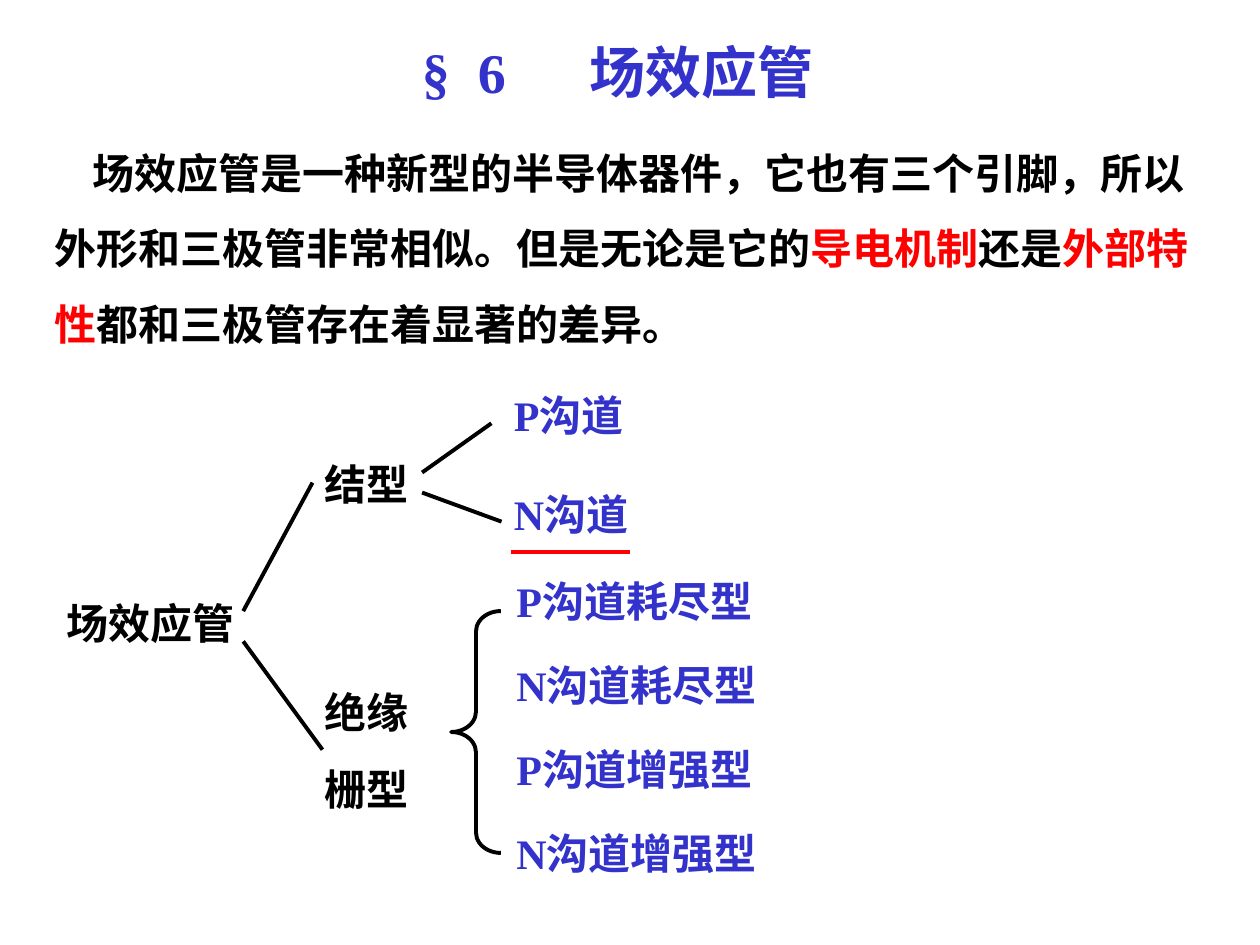
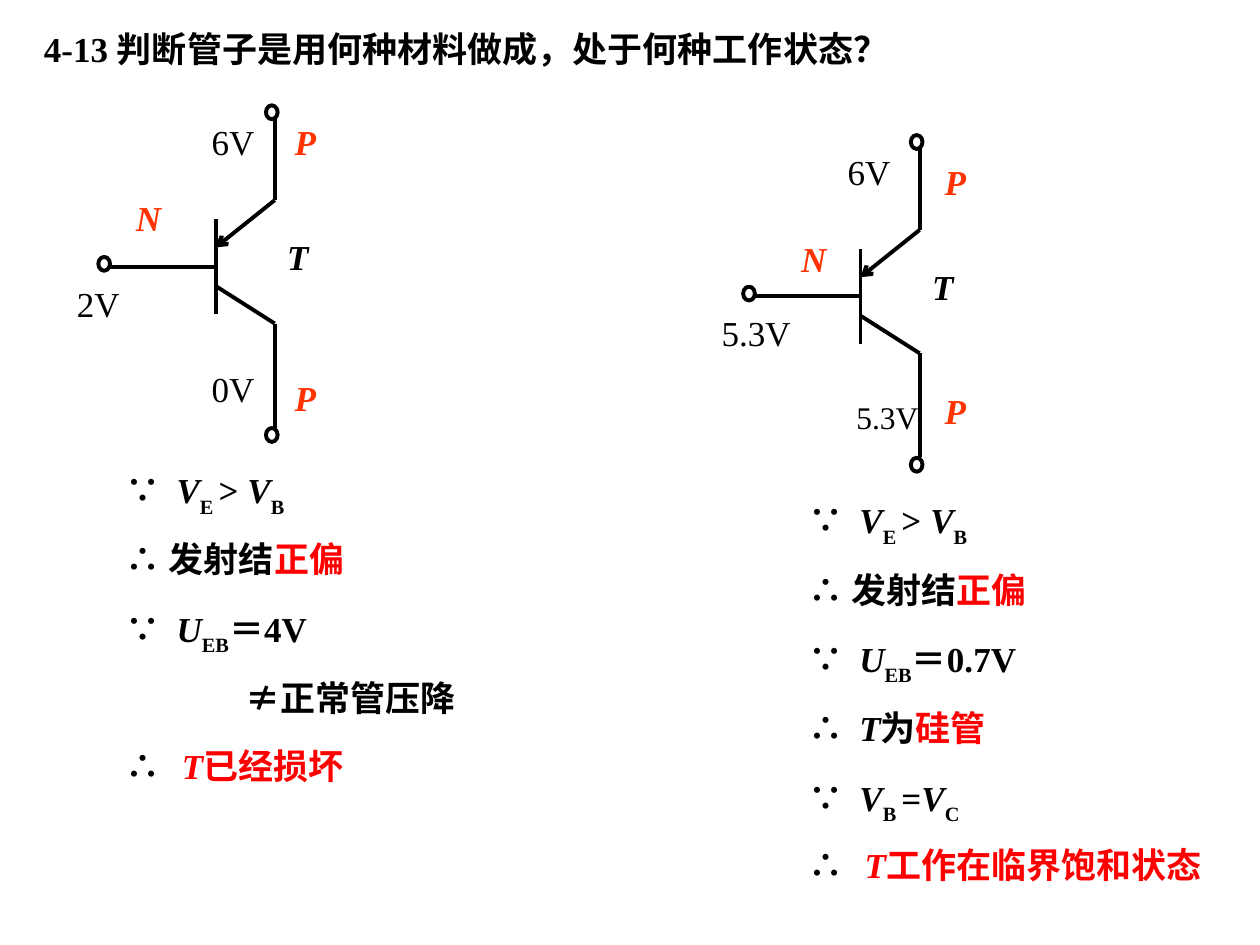
"""Build two slides on field-effect transistors and on judging transistor states."""
from dataclasses import dataclass
from typing import NamedTuple

from lxml import etree
from pptx import Presentation
from pptx.dml.color import RGBColor
from pptx.enum.shapes import MSO_CONNECTOR, MSO_SHAPE
from pptx.enum.text import MSO_AUTO_SIZE
from pptx.oxml.ns import qn
from pptx.slide import Slide
from pptx.util import Pt

STRAIGHT = MSO_CONNECTOR.STRAIGHT
LEFT_BRACE = MSO_SHAPE.LEFT_BRACE
OVAL = MSO_SHAPE.OVAL
GROW = MSO_AUTO_SIZE.SHAPE_TO_FIT_TEXT

COLORS = {
    "black": "000000",
    "white": "FFFFFF",
    "blue": "3333CC",
    "red": "FF0000",
    "orange": "FF3300",
}
TIMES = "Times New Roman"
NOTO = "Noto Sans CJK SC"
LINE_WIDTH = 2.25
TREE_SIZE = 24
CIRCUIT_SIZE = 20
STATEMENT_STEP = 39.6
CLOSING_LIFT = 5


class Run(NamedTuple):
    text: str
    color: str = "black"
    font: str = TIMES
    bold: bool = True
    italic: bool = False
    size: float | None = None
    subscript: bool = False


class Segment(NamedTuple):
    x1: float
    y1: float
    x2: float
    y2: float
    color: str = "black"
    arrow_at_start: bool = False


class Label(NamedTuple):
    x: float
    y: float
    width: float
    run: Run


class Statement(NamedTuple):
    runs: list[Run]
    tab: float | None = None
    shift: float = 0


@dataclass
class Paragraph:
    runs: list[Run]
    indent: float = 0
    line_spacing: float | None = None
    space_before: float = 0
    tabs: tuple[float, ...] = ()


@dataclass
class Transistor:
    base_x: float
    base_y: float
    labels: list[Label]


@dataclass
class Reasoning:
    x: float
    y: float
    statements: list[Statement]


def rgb(name: str) -> RGBColor:
    return RGBColor.from_string(COLORS[name])


def add_text(slide: Slide, x: float, y: float, width: float, height: float,
             size: float, paragraphs: list[Paragraph]) -> None:
    frame = slide.shapes.add_textbox(Pt(x), Pt(y), Pt(width), Pt(height)).text_frame
    frame.word_wrap = True
    frame.auto_size = GROW
    for index, content in enumerate(paragraphs):
        paragraph = frame.add_paragraph() if index else frame.paragraphs[0]
        properties = paragraph._p.get_or_add_pPr()
        if content.tabs:
            stops = etree.SubElement(properties, qn("a:tabLst"))
            for position in content.tabs:
                etree.SubElement(stops, qn("a:tab"), pos=str(Pt(position)), algn="l")
        if content.indent:
            properties.set("marL", "0")
            properties.set("indent", str(Pt(content.indent)))
        if content.line_spacing:
            paragraph.line_spacing = content.line_spacing
        paragraph.space_before = Pt(content.space_before)
        for piece in content.runs:
            run = paragraph.add_run()
            run.text = piece.text
            run.font.size = Pt(piece.size or size)
            run.font.bold = piece.bold
            run.font.italic = piece.italic
            run.font.color.rgb = rgb(piece.color)
            run.font.name = piece.font
            run_properties = run._r.get_or_add_rPr()
            etree.SubElement(run_properties, qn("a:ea"), typeface=NOTO)
            if piece.subscript:
                run_properties.set("baseline", "-30000")


def add_label(slide: Slide, label: Label, size: float) -> None:
    add_text(slide, label.x, label.y, label.width, size * 1.2 + 7.2, size,
             [Paragraph([label.run])])


def add_segment(slide: Slide, segment: Segment) -> None:
    connector = slide.shapes.add_connector(
        STRAIGHT, Pt(segment.x1), Pt(segment.y1), Pt(segment.x2), Pt(segment.y2))
    connector.line.color.rgb = rgb(segment.color)
    connector.line.width = Pt(LINE_WIDTH)
    if segment.arrow_at_start:
        etree.SubElement(connector.line._get_or_add_ln(), qn("a:headEnd"), type="arrow")
    etree.SubElement(connector._element.spPr, qn("a:effectLst"))


def add_brace(slide: Slide, x: float, y: float, width: float, height: float) -> None:
    brace = slide.shapes.add_shape(LEFT_BRACE, Pt(x), Pt(y), Pt(width), Pt(height))
    brace.shadow.inherit = False
    brace.adjustments[0] = 0.41
    brace.fill.background()
    brace.line.color.rgb = rgb("black")
    brace.line.width = Pt(LINE_WIDTH)


def add_terminal(slide: Slide, x: float, y: float) -> None:
    terminal = slide.shapes.add_shape(OVAL, Pt(x), Pt(y), Pt(6.7), Pt(7.9))
    terminal.shadow.inherit = False
    terminal.fill.solid()
    terminal.fill.fore_color.rgb = rgb("white")
    terminal.line.color.rgb = rgb("black")
    terminal.line.width = Pt(LINE_WIDTH)


def add_transistor(slide: Slide, transistor: Transistor) -> None:
    x, y = transistor.base_x, transistor.base_y
    lead_x = x + 33.8
    for segment in (
        Segment(x - 62, y, x, y),
        Segment(x, y - 27, x, y + 27),
        Segment(x, y - 11, lead_x, y - 38, arrow_at_start=True),
        Segment(x, y + 11, lead_x, y + 32.5),
        Segment(lead_x, y - 38, lead_x, y - 87),
        Segment(lead_x, y + 32.5, lead_x, y + 92),
    ):
        add_segment(slide, segment)
    for dx, dy in ((-67, -5.6), (28.8, 92.2), (28.8, -92.2)):
        add_terminal(slide, x + dx, y + dy)
    add_label(slide, Label(lead_x, y - 21.4, 48, Run("T", italic=True)), CIRCUIT_SIZE)
    for label in transistor.labels:
        add_label(slide, label._replace(x=x + label.x, y=y + label.y), CIRCUIT_SIZE)


def add_reasoning(slide: Slide, reasoning: Reasoning) -> None:
    last = len(reasoning.statements) - 1
    for row, statement in enumerate(reasoning.statements):
        y = reasoning.y + row * STATEMENT_STEP - (CLOSING_LIFT if row == last else 0)
        tabs = (statement.tab,) if statement.tab else ()
        add_text(slide, reasoning.x + statement.shift, y, 264 - statement.shift, 32,
                 CIRCUIT_SIZE, [Paragraph(statement.runs, tabs=tabs)])


def voltage(text: str, size: float | None = None) -> Run:
    return Run(text, bold=False, size=size)


def doping(letter: str) -> Run:
    return Run(letter, "orange", italic=True)


def symbol(text: str) -> Run:
    return Run(text, font=NOTO)


def comparison(left: str, operator: str, right: str) -> Statement:
    return Statement([
        symbol("∵\t"), Run("V", italic=True), Run(left, subscript=True),
        Run(operator), Run("V", italic=True), Run(right, subscript=True),
    ], 29)


def junction_drop(value: str) -> Statement:
    return Statement([
        symbol("∵\t"), Run("U", italic=True), Run("EB", subscript=True),
        symbol("＝"), Run(value),
    ], 29)


def verdict(text: str) -> Statement:
    return Statement([
        symbol("∴"), Run("\t", "red", italic=True, size=24),
        Run("T", "red", italic=True), Run(text, "red"),
    ], 32)


def build_classification(slide: Slide) -> None:
    add_text(slide, 234, 18, 276, 46, 32,
             [Paragraph([Run("§\t6\t场效应管", "blue")], tabs=(32, 96))])
    add_text(slide, 23.8, 66.2, 666, 137, TREE_SIZE, [Paragraph([
        Run("场效应管是一种新型的半导体器件，它也有三个引脚，所以外形和三极管非常相似。"
            "但是无论是它的", font=NOTO),
        Run("导电机制", "red", NOTO),
        Run("还是", font=NOTO),
        Run("外部特性", "red", NOTO),
        Run("都和三极管存在着显著的差异。", font=NOTO),
    ], indent=22, line_spacing=1.5)])

    add_brace(slide, 257.8, 349.2, 28.4, 138.2)
    insulated_gate_types = ("P沟道耗尽型", "N沟道耗尽型", "P沟道增强型", "N沟道增强型")
    for row, name in enumerate(insulated_gate_types):
        add_label(slide, Label(288, 325.4 + row * 48, 300, Run(name, "blue")), TREE_SIZE)
    for label in (
        Label(31, 337.7, 120, Run("场效应管")),
        Label(178.6, 258.5, 96, Run("结型")),
        Label(286.6, 218.9, 130, Run("P沟道", "blue")),
        Label(286.6, 275.8, 142, Run("N沟道", "blue")),
    ):
        add_label(slide, label, TREE_SIZE)
    add_text(slide, 178.6, 388.8, 136, 80, TREE_SIZE,
             [Paragraph([Run("绝缘")]), Paragraph([Run("栅型")], space_before=15)])
    for segment in (
        Segment(139, 349.2, 178.6, 275.8),
        Segment(139, 366.5, 184.3, 428.4),
        Segment(241.2, 270, 280.8, 241.9),
        Segment(241.2, 281.5, 286.6, 298.1),
        Segment(292.3, 315.4, 360, 315.4, "red"),
    ):
        add_segment(slide, segment)


def build_state_exercise(slide: Slide) -> None:
    add_label(slide, Label(18, 12.2, 558,
                           Run("4-13 判断管子是用何种材料做成，处于何种工作状态？")), CIRCUIT_SIZE)
    damaged = Transistor(123.2, 152.4, [
        Label(-9.4, -87, 77, voltage("6V")),
        Label(-86.4, 5.3, 76, voltage("2V")),
        Label(-9.4, 54.3, 77, voltage("0V")),
        Label(38, -87, 38, doping("P")),
        Label(38, 59.3, 38, doping("P")),
        Label(-52.6, -43.7, 38, doping("N")),
    ])
    saturated = Transistor(491.7, 169.4, [
        Label(-14.4, -87, 77, voltage("6V")),
        Label(-86.4, 5.3, 77, voltage("5.3V")),
        Label(-9.4, 54.3, 77, voltage("5.3V", 18)),
        Label(41, -81, 38, doping("P")),
        Label(41, 49.5, 38, doping("P")),
        Label(-41, -37, 38, doping("N")),
    ])
    for transistor in (damaged, saturated):
        add_transistor(slide, transistor)

    forward_bias = [
        comparison("E ", "> ", "B"),
        Statement([symbol("∴ "), Run("发射结"), Run("正偏", "red")]),
    ]
    add_reasoning(slide, Reasoning(64.8, 264.2, forward_bias + [
        junction_drop("4V"),
        Statement([symbol("≠正常管压降")], shift=68.4),
        verdict("已经损坏"),
    ]))
    add_reasoning(slide, Reasoning(455, 281.5, forward_bias + [
        junction_drop("0.7V"),
        Statement([symbol("∴\t"), Run("T", italic=True), Run("为"), Run("硅管", "red")], 29),
        comparison("B ", "=", "C"),
        verdict("工作在临界饱和状态"),
    ]))


def main() -> None:
    presentation = Presentation()
    presentation.slide_width, presentation.slide_height = Pt(720), Pt(540)
    blank = presentation.slide_layouts[6]
    for build in (build_classification, build_state_exercise):
        build(presentation.slides.add_slide(blank))
    presentation.save("out.pptx")


if __name__ == "__main__":
    main()
